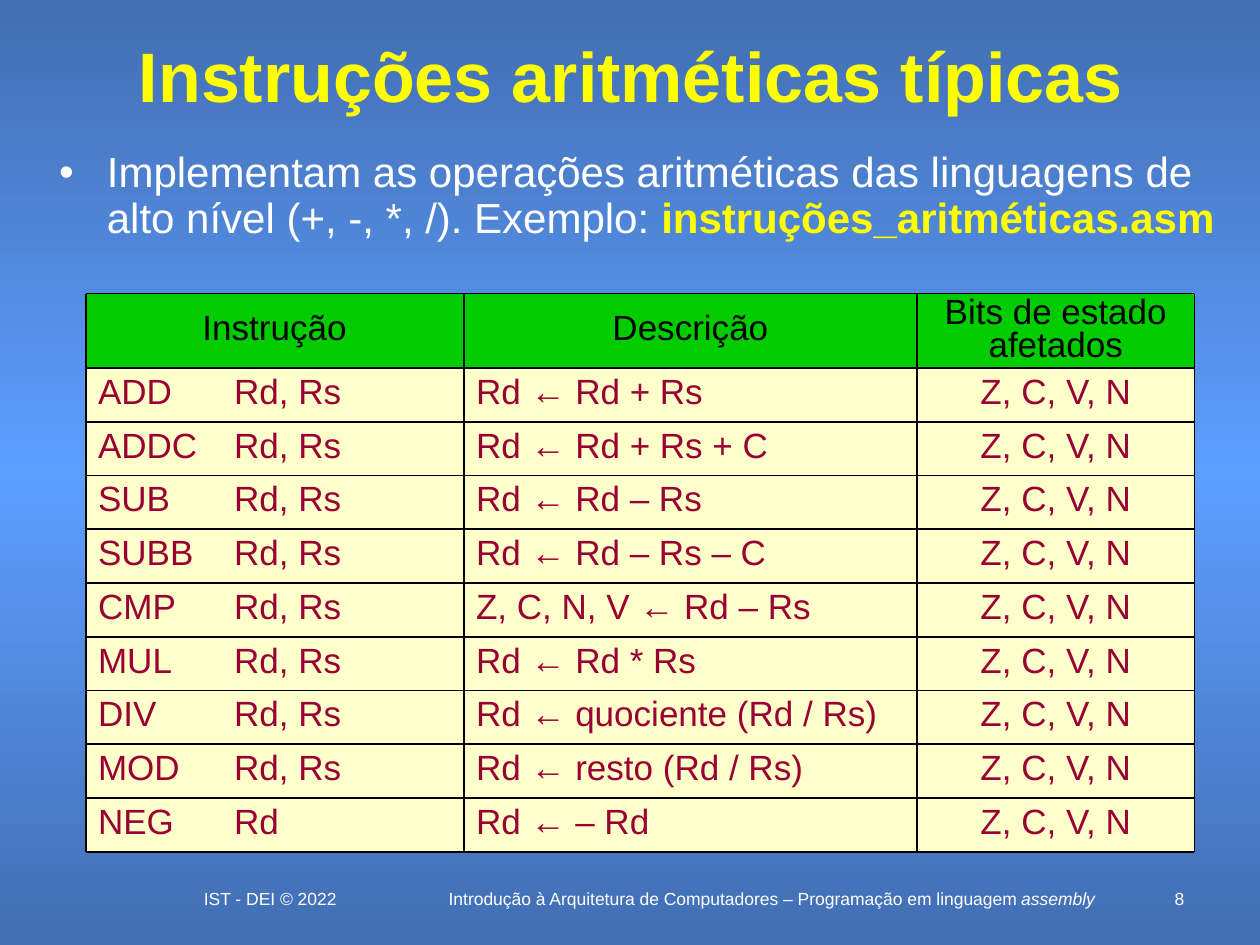
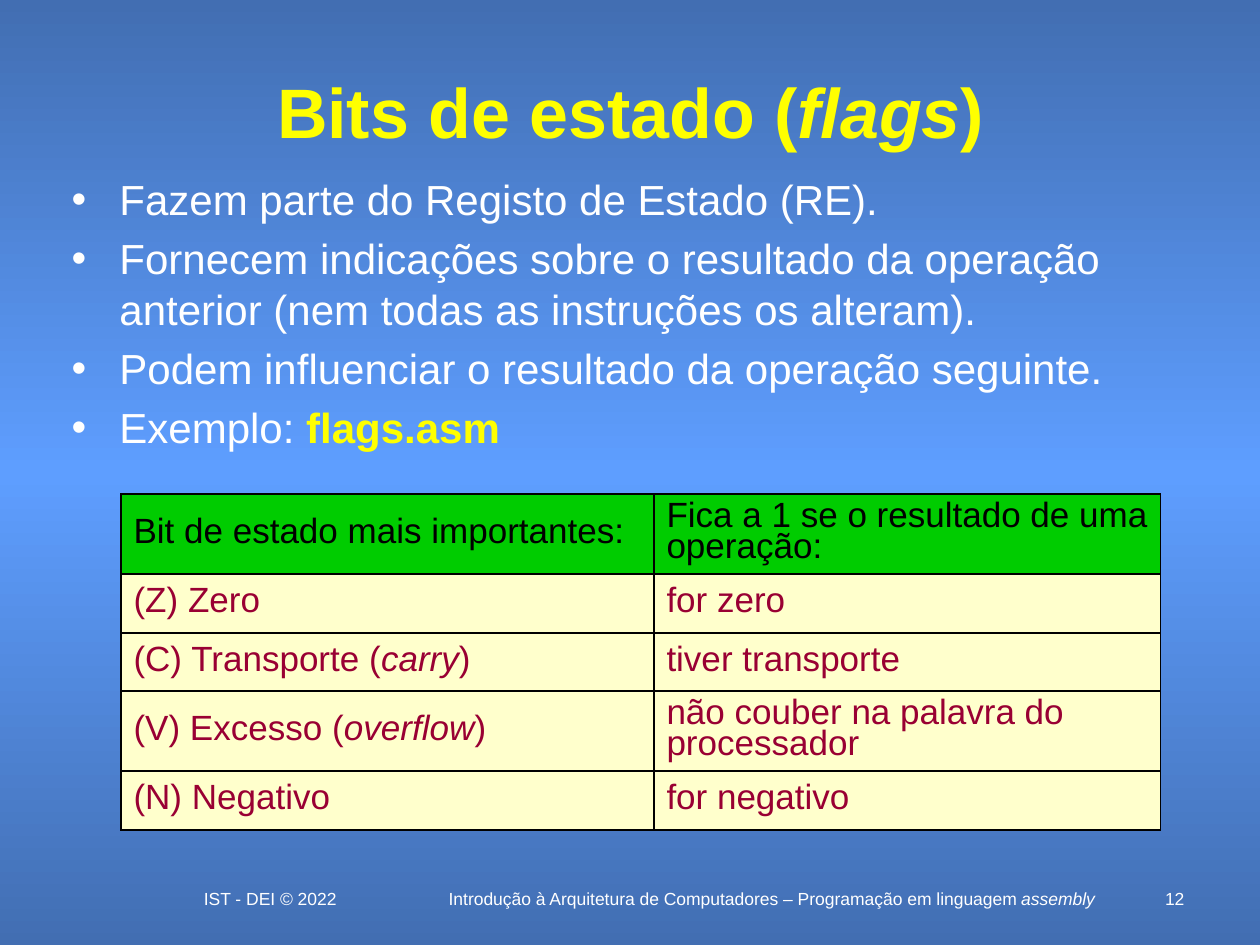
from copy import deepcopy
from dataclasses import dataclass
from itertools import accumulate
from typing import NamedTuple

from lxml import etree
from pptx import Presentation
from pptx.dml.color import RGBColor
from pptx.enum.shapes import MSO_CONNECTOR, MSO_SHAPE
from pptx.enum.text import MSO_ANCHOR, PP_ALIGN
from pptx.oxml.ns import qn
from pptx.util import Inches, Pt


@dataclass(frozen=True)
class Theme:
    """Colours, font and type sizes shared by the slides."""

    font: str = "Arial"
    edge: str = "426EB2"
    glow: str = "5E9EFF"
    light: str = "FFFFFF"
    accent: str = "FFFF00"
    header_fill: str = "00CC00"
    header_text: str = "000000"
    cell_fill: str = "FFFFCC"
    cell_text: str = "990033"
    border: str = "000000"
    title_size: int = 40
    body_size: int = 24
    table_size: int = 20
    footer_size: int = 10


class Run(NamedTuple):
    """A stretch of text with its own emphasis."""

    text: str
    italic: bool = False
    bold: bool = False
    color: str = ""


class Box(NamedTuple):
    """A place on the slide, in inches."""

    left: float
    top: float
    width: float
    height: float

    def lengths(self) -> tuple:
        """Return the four values as lengths."""
        return tuple(Inches(value) for value in self)


@dataclass(frozen=True)
class Grid:
    """Place, column widths and row heights of a grid, in inches."""

    left: float
    top: float
    columns: tuple
    rows: tuple

    def edges(self) -> tuple:
        """Return the positions of the vertical and horizontal rules."""
        return (list(accumulate(self.columns, initial=self.left)),
                list(accumulate(self.rows, initial=self.top)))


THEME = Theme()
LEFT, CENTER, RIGHT = PP_ALIGN.LEFT, PP_ALIGN.CENTER, PP_ALIGN.RIGHT

INSTRUCTIONS = [
    ("ADD\tRd, Rs", "Rd ← Rd + Rs"),
    ("ADDC\tRd, Rs", "Rd ← Rd + Rs + C"),
    ("SUB\tRd, Rs", "Rd ← Rd – Rs"),
    ("SUBB\tRd, Rs", "Rd ← Rd – Rs – C"),
    ("CMP\tRd, Rs", "Z, C, N, V ← Rd – Rs"),
    ("MUL\tRd, Rs", "Rd ← Rd * Rs"),
    ("DIV\tRd, Rs", "Rd ← quociente (Rd / Rs)"),
    ("MOD\tRd, Rs", "Rd ← resto (Rd / Rs)"),
    ("NEG\tRd", "Rd ← – Rd"),
]
FLAGS = [
    ("(Z) Zero", "for zero"),
    ([Run("(C) Transporte ("), Run("carry", italic=True), Run(")")], "tiver transporte"),
    ([Run("(V) Excesso ("), Run("overflow", italic=True), Run(")")],
     "não couber na palavra do processador"),
    ("(N) Negativo", "for negativo"),
]


def write_paragraph(paragraph, text, *, size: int, color: str, bold=False, align=LEFT,
                    line_spacing=None, space_before=0, bullet=False, tab=None) -> None:
    """Fill a paragraph with a string or a list of runs."""
    paragraph.alignment = align
    paragraph.space_before = Pt(space_before)
    if line_spacing:
        paragraph.line_spacing = line_spacing
    properties = paragraph._p.get_or_add_pPr()
    if bullet:
        properties.set("marL", str(Inches(0.38)))
        properties.set("indent", str(Inches(-0.38)))
        etree.SubElement(properties, qn("a:buFont"), typeface=THEME.font)
        etree.SubElement(properties, qn("a:buChar"), char="•")
    if tab:
        tabs = etree.SubElement(properties, qn("a:tabLst"))
        etree.SubElement(tabs, qn("a:tab"), pos=str(Inches(tab)), algn="l")
    for part in [Run(text)] if isinstance(text, str) else text:
        run = paragraph.add_run()
        run.text = part.text
        run.font.name = THEME.font
        run.font.size = Pt(size)
        run.font.bold = bold or part.bold
        run.font.italic = part.italic
        run.font.color.rgb = RGBColor.from_string(part.color or color)


def add_text(slide, box: Box, paragraphs: list, *, anchor=MSO_ANCHOR.TOP,
             side_margin=0.1, space_before=0, **style) -> None:
    """Add a wrapping text box with one paragraph per item."""
    frame = slide.shapes.add_textbox(*box.lengths()).text_frame
    frame.word_wrap = True
    frame.vertical_anchor = anchor
    frame.margin_left = frame.margin_right = Inches(side_margin)
    for index, text in enumerate(paragraphs):
        paragraph = frame.add_paragraph() if index else frame.paragraphs[0]
        write_paragraph(paragraph, text, space_before=space_before if index else 0, **style)


def add_body(slide, box: Box, paragraphs: list, line_spacing=None) -> None:
    """Add the bulleted text."""
    add_text(slide, box, paragraphs, size=THEME.body_size, color=THEME.light,
             bullet=True, space_before=5, line_spacing=line_spacing)


def write_cell(holder, paragraph, text, header: bool, **style) -> None:
    """Fill and label a grid cell as header or row."""
    holder.fill.solid()
    holder.fill.fore_color.rgb = RGBColor.from_string(
        THEME.header_fill if header else THEME.cell_fill)
    write_paragraph(paragraph, text, size=THEME.table_size,
                    color=THEME.header_text if header else THEME.cell_text, **style)


def add_rule(slide, start: tuple, end: tuple) -> None:
    """Draw a thin straight line between two points."""
    points = [Inches(value) for value in (*start, *end)]
    rule = slide.shapes.add_connector(MSO_CONNECTOR.STRAIGHT, *points)
    rule.line.color.rgb = RGBColor.from_string(THEME.border)
    rule.line.width = Pt(1)
    etree.SubElement(rule._element.spPr, qn("a:effectLst"))


def add_ruled_cells(slide, grid: Grid, rows: list) -> None:
    """Draw rectangles as cells, with rules over their edges."""
    across, down = grid.edges()
    for row_index, row in enumerate(rows):
        header = row_index == 0
        for column_index, text in enumerate(row):
            box = Box(across[column_index], down[row_index],
                      grid.columns[column_index], grid.rows[row_index])
            shape = slide.shapes.add_shape(MSO_SHAPE.RECTANGLE, *box.lengths())
            shape.shadow.inherit = False
            shape.line.fill.background()
            frame = shape.text_frame
            frame.word_wrap = True
            frame.vertical_anchor = MSO_ANCHOR.MIDDLE
            write_cell(shape, frame.paragraphs[0], text, header,
                       align=CENTER if header or column_index == 2 else LEFT,
                       line_spacing=0.8 if header else 0.75,
                       tab=1.08 if "\t" in text else None)
    for y in down:
        add_rule(slide, (across[0], y), (across[-1], y))
    for x in across:
        add_rule(slide, (x, down[0]), (x, down[-1]))


def add_borders(cell) -> None:
    """Draw a thin line on the four sides of a cell."""
    properties = cell._tc.get_or_add_tcPr()
    for index, side in enumerate(("lnL", "lnR", "lnT", "lnB")):
        line = etree.Element(qn(f"a:{side}"), w=str(Pt(1)))
        fill = etree.SubElement(line, qn("a:solidFill"))
        etree.SubElement(fill, qn("a:srgbClr"), val=THEME.border)
        properties.insert(index, line)


def add_flag_table(slide, grid: Grid, rows: list) -> None:
    """Add a table with a green header and cream rows."""
    box = Box(grid.left, grid.top, sum(grid.columns), sum(grid.rows))
    table = slide.shapes.add_table(len(rows), len(grid.columns), *box.lengths()).table
    table.first_row = table.horz_banding = False
    for column, width in zip(table.columns, grid.columns):
        column.width = Inches(width)
    for row_index, (row, height) in enumerate(zip(rows, grid.rows)):
        table.rows[row_index].height = Inches(height)
        for column_index, text in enumerate(row):
            cell = table.cell(row_index, column_index)
            cell.vertical_anchor = MSO_ANCHOR.MIDDLE
            cell.margin_left, cell.margin_right = Inches(0.1), Inches(0.08)
            add_borders(cell)
            write_cell(cell, cell.text_frame.paragraphs[0], text, row_index == 0,
                       line_spacing=0.8)


def paint_background(master) -> None:
    """Give the slide master the vertical blue gradient."""
    fill = master.background.fill
    fill.gradient()
    fill.gradient_angle = 270
    stops = master.element.find(".//" + qn("a:gsLst"))
    stops.insert(1, deepcopy(stops[0]))
    colors = (THEME.edge, THEME.glow, THEME.edge)
    for stop, position, color in zip(fill.gradient_stops, (0, 0.5, 1), colors):
        stop.position = position
        stop.color.rgb = RGBColor.from_string(color)


def start_slide(presentation, title, title_top: float, number: int):
    """Add a slide with its title and footer."""
    slide = presentation.slides.add_slide(presentation.slide_layouts[6])
    add_text(slide, Box(0.67, title_top, 8.67, 0.75), [title], anchor=MSO_ANCHOR.MIDDLE,
             size=THEME.title_size, color=THEME.accent, bold=True, align=CENTER)
    course = [Run("Introdução à Arquitetura de Computadores – Programação em linguagem "),
              Run("assembly", italic=True)]
    footers = [
        (Box(1.31, 7, 1.67, 0.25), "IST - DEI © 2022", CENTER),
        (Box(3.45, 7, 5.35, 0.25), course, CENTER),
        (Box(9, 7, 0.4, 0.25), str(number), RIGHT),
    ]
    for box, text, align in footers:
        add_text(slide, box, [text], side_margin=0, size=THEME.footer_size,
                 color=THEME.light, align=align)
    return slide


def build_instructions(presentation) -> None:
    """Build the slide on arithmetic instructions."""
    slide = start_slide(presentation, "Instruções aritméticas típicas", 0.22, 8)
    add_body(slide, Box(0.37, 1.15, 9.42, 1), [[
        Run("Implementam as operações aritméticas das linguagens de alto nível "
            "(+, -, *, /). Exemplo: "),
        Run("instruções_aritméticas.asm", bold=True, color=THEME.accent),
    ]], line_spacing=0.91)
    row_height = (6.76 - 2.92) / len(INSTRUCTIONS)
    grid = Grid(0.68, 2.33, (3, 3.6, 2.2), (0.59,) + (row_height,) * len(INSTRUCTIONS))
    header = ("Instrução", "Descrição", "Bits de estado afetados")
    add_ruled_cells(slide, grid, [header] + [(*row, "Z, C, V, N") for row in INSTRUCTIONS])


def build_flags(presentation) -> None:
    """Build the slide on state bits."""
    title = [Run("Bits de estado ("), Run("flags", italic=True), Run(")")]
    slide = start_slide(presentation, title, 0.5, 12)
    add_body(slide, Box(0.47, 1.33, 8.87, 2.4), [
        "Fazem parte do Registo de Estado (RE).",
        "Fornecem indicações sobre o resultado da operação anterior "
        "(nem todas as instruções os alteram).",
        "Podem influenciar o resultado da operação seguinte.",
        [Run("Exemplo: "), Run("flags.asm", bold=True, color=THEME.accent)],
    ])
    grid = Grid(0.96, 3.92, (4.23, 4.02), (0.63, 0.47, 0.46, 0.63, 0.47))
    header = ("Bit de estado mais importantes:", "Fica a 1 se o resultado de uma operação:")
    add_flag_table(slide, grid, [header] + FLAGS)


def main() -> None:
    """Build and save the presentation."""
    presentation = Presentation()
    presentation.slide_width, presentation.slide_height = Inches(10), Inches(7.5)
    paint_background(presentation.slide_master)
    build_instructions(presentation)
    build_flags(presentation)
    presentation.save("out.pptx")


if __name__ == "__main__":
    main()
